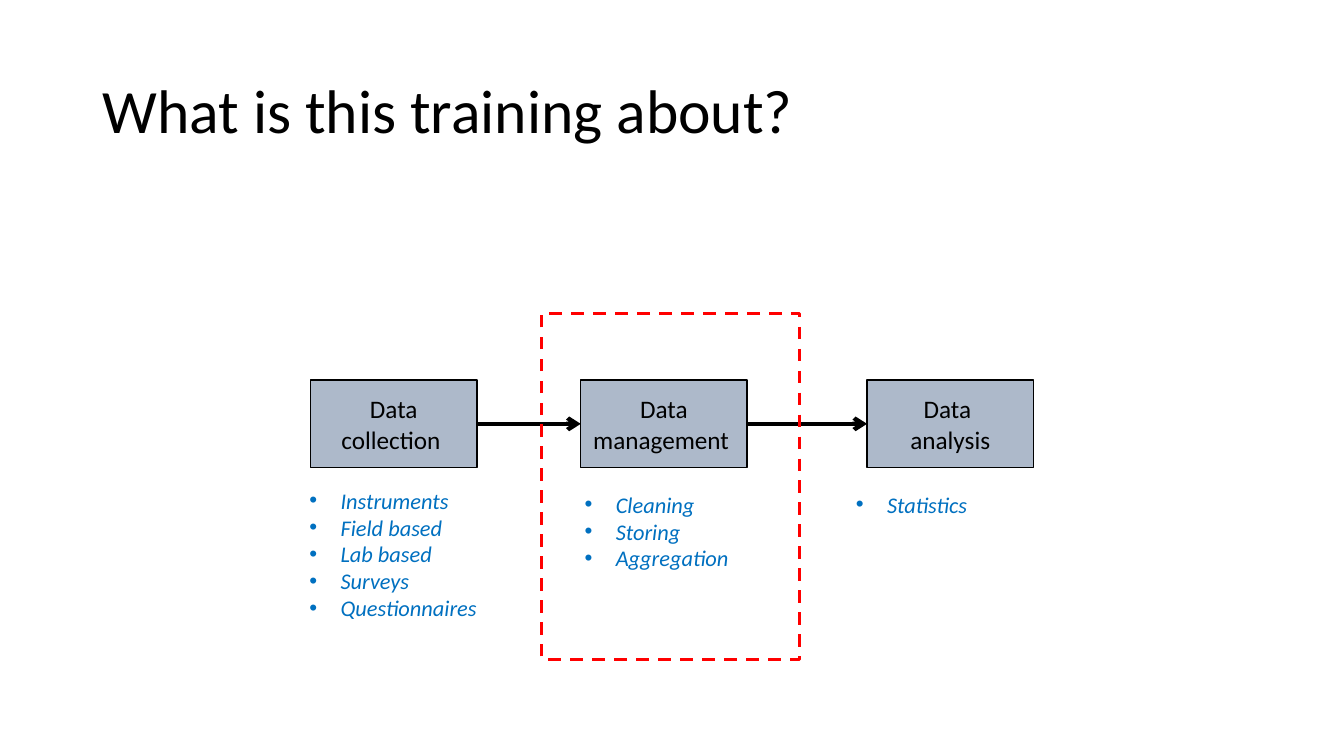
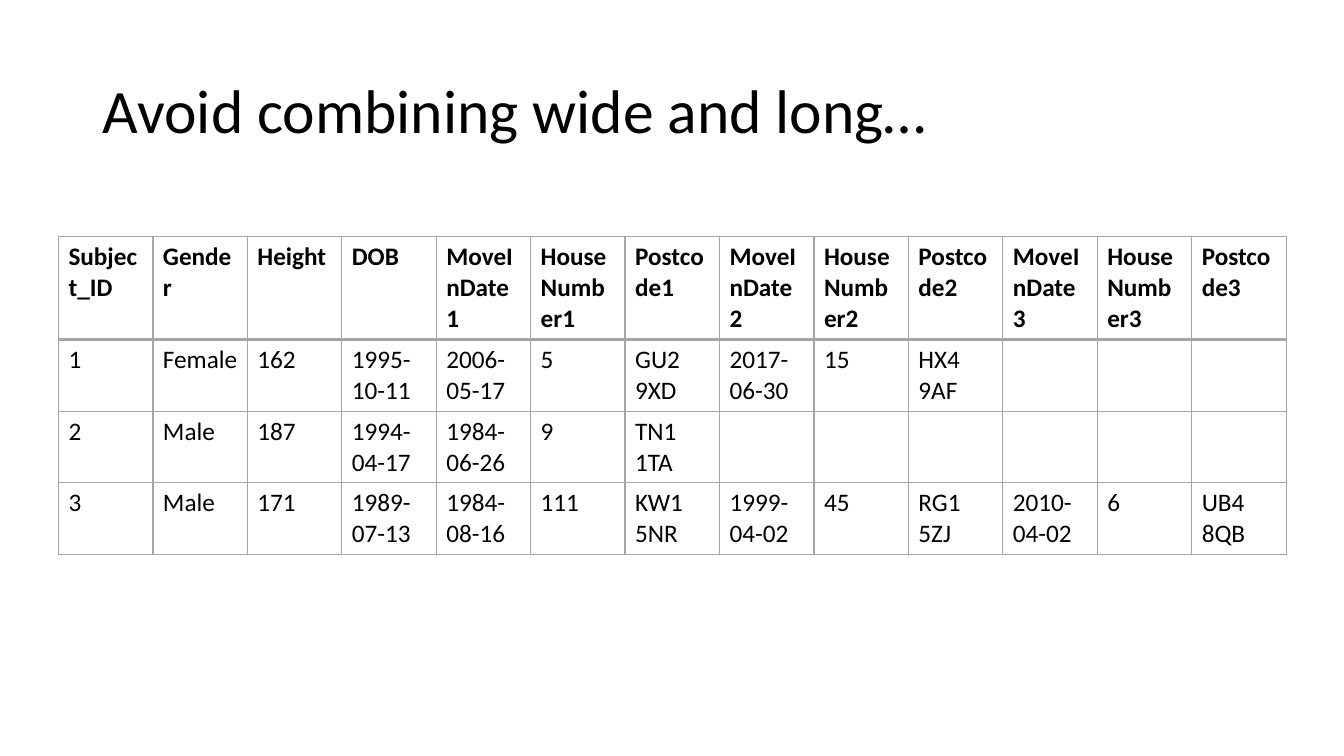
"""Build two training slides: a data workflow diagram and a wide table."""
from lxml import etree
from pptx import Presentation
from pptx.dml.color import RGBColor
from pptx.enum.dml import MSO_LINE
from pptx.enum.shapes import MSO_CONNECTOR, MSO_SHAPE
from pptx.enum.text import MSO_ANCHOR, PP_ALIGN
from pptx.oxml.ns import qn
from pptx.util import Inches, Pt

RECTANGLE = MSO_SHAPE.RECTANGLE
STRAIGHT = MSO_CONNECTOR.STRAIGHT
DASH = MSO_LINE.DASH
TOP, MIDDLE = MSO_ANCHOR.TOP, MSO_ANCHOR.MIDDLE
LEFT, CENTER = PP_ALIGN.LEFT, PP_ALIGN.CENTER
SIDE_LEFT, SIDE_RIGHT = 1, 3

FONT = "Calibri"
BLACK, BLUE, RED = "000000", "0070C0", "FF0000"
STEP_FILL, GRID = "ADB9CA", "A5A5A5"

STEP_TOP, STEP_WIDTH, STEP_HEIGHT = 3.77, 1.65, 0.87
STEPS = [
    (3.08, ["Data collection "]),
    (5.76, ["Data management "]),
    (8.6, ["Data ", "analysis"]),
]
DETAILS = [
    (2.97, 4.78, 1.75,
     ["Instruments", "Field based", "Lab based", "Surveys", "Questionnaires"]),
    (8.39, 4.82, 0.67, ["Statistics"]),
    (5.7, 4.82, 1.18, ["Cleaning", "Storing", "Aggregation"]),
]

HEADERS = ["Subject_ID", "Gender", "Height", "DOB"] + [
    f"{field}{move}" for move in (1, 2, 3)
    for field in ("MoveInDate", "HouseNumber", "Postcode")
]
SUBJECTS = [
    ["1", "Female", "162", "1995-10-11", "2006-05-17", "5", "GU2 9XD",
     "2017-06-30", "15", "HX4 9AF"],
    ["2", "Male", "187", "1994-04-17", "1984-06-26", "9", "TN1 1TA"],
    ["3", "Male", "171", "1989-07-13", "1984-08-16", "111", "KW1 5NR",
     "1999-04-02", "45", "RG1 5ZJ", "2010-04-02", "6", "UB4 8QB"],
]


def color(value):
    return RGBColor.from_string(value)


def write(frame, lines, size=18, ink=BLACK, bold=False, italic=False,
          align=LEFT, anchor=TOP, spacing=None, bullet=False):
    frame.word_wrap = True
    frame.vertical_anchor = anchor
    for index, line in enumerate(lines):
        paragraph = frame.add_paragraph() if index else frame.paragraphs[0]
        if bullet:
            properties = paragraph._p.get_or_add_pPr()
            properties.set("marL", str(Inches(0.31)))
            properties.set("indent", str(-Inches(0.31)))
            etree.SubElement(properties, qn("a:buFont"), typeface="Arial")
            etree.SubElement(properties, qn("a:buChar"), char="•")
        paragraph.alignment = align
        if spacing:
            paragraph.line_spacing = spacing
        run = paragraph.add_run()
        run.text = line
        font = run.font
        font.name, font.size = FONT, Pt(size)
        font.bold, font.italic = bold, italic
        font.color.rgb = color(ink)


def draw_borders(cell, bottom=1):
    properties = cell._tc.get_or_add_tcPr()
    widths = {"a:lnL": 1, "a:lnR": 1, "a:lnT": 1, "a:lnB": bottom}
    for position, (side, width) in enumerate(widths.items()):
        border = etree.Element(qn(side), w=str(Pt(width)))
        fill = etree.SubElement(border, qn("a:solidFill"))
        etree.SubElement(fill, qn("a:srgbClr"), val=GRID)
        properties.insert(position, border)


class Deck:
    def __init__(self):
        self.presentation = Presentation()
        self.presentation.slide_width = Inches(13.33)
        self.presentation.slide_height = Inches(7.5)
        self.slide = None

    def add_slide(self, title):
        layout = self.presentation.slide_layouts[6]
        self.slide = self.presentation.slides.add_slide(layout)
        self.text(0.92, 0.4, 11.5, 1.45, [title],
                  size=44, anchor=MIDDLE, spacing=0.9)

    def text(self, left, top, width, height, lines, **style):
        box = self.slide.shapes.add_textbox(
            Inches(left), Inches(top), Inches(width), Inches(height))
        write(box.text_frame, lines, **style)

    def rectangle(self, left, top, width, height, fill=None, line=BLACK,
                  weight=1, dash=None):
        box = self.slide.shapes.add_shape(
            RECTANGLE, Inches(left), Inches(top), Inches(width), Inches(height))
        box.shadow.inherit = False
        if fill:
            box.fill.solid()
            box.fill.fore_color.rgb = color(fill)
        else:
            box.fill.background()
        box.line.color.rgb = color(line)
        box.line.width = Pt(weight)
        if dash:
            box.line.dash_style = dash
        return box

    def step(self, left, lines):
        box = self.rectangle(left, STEP_TOP, STEP_WIDTH, STEP_HEIGHT, STEP_FILL)
        write(box.text_frame, lines, align=CENTER, anchor=MIDDLE)
        return box

    def arrow(self, source, target):
        arrow = self.slide.shapes.add_connector(STRAIGHT, 0, 0, 0, 0)
        arrow.begin_connect(source, SIDE_RIGHT)
        arrow.end_connect(target, SIDE_LEFT)
        arrow.line.color.rgb = color(BLACK)
        arrow.line.width = Pt(3)
        etree.SubElement(arrow.line._get_or_add_ln(), qn("a:tailEnd"), type="arrow")
        etree.SubElement(arrow._element.spPr, qn("a:effectLst"))

    def table(self, left, top, width, headers, records):
        header_height, record_height = 1.02, 0.71
        height = header_height + record_height * len(records)
        table = self.slide.shapes.add_table(
            len(records) + 1, len(headers), Inches(left), Inches(top),
            Inches(width), Inches(height)).table
        table.first_row = table.horz_banding = False
        for column in table.columns:
            column.width = Inches(width / len(headers))
        for row_index, values in enumerate([headers] + records):
            is_header = row_index == 0
            row = table.rows[row_index]
            row.height = Inches(header_height if is_header else record_height)
            for column_index, cell in enumerate(row.cells):
                cell.fill.background()
                draw_borders(cell, bottom=2 if is_header else 1)
                if column_index < len(values):
                    write(cell.text_frame, [values[column_index]], bold=is_header)


def main():
    deck = Deck()

    deck.add_slide("What is this training about?")
    steps = [deck.step(left, lines) for left, lines in STEPS]
    for source, target in zip(steps, steps[1:]):
        deck.arrow(source, target)
    for left, top, height, details in DETAILS:
        deck.text(left, top, 1.93, height, details,
                  size=16, ink=BLUE, italic=True, bullet=True)
    deck.rectangle(5.37, 3.11, 2.56, 3.43, line=RED, weight=2.25, dash=DASH)

    deck.add_slide("Avoid combining wide and long…")
    deck.table(0.58, 2.35, 12.18, HEADERS, SUBJECTS)

    deck.presentation.save("out.pptx")


if __name__ == "__main__":
    main()
